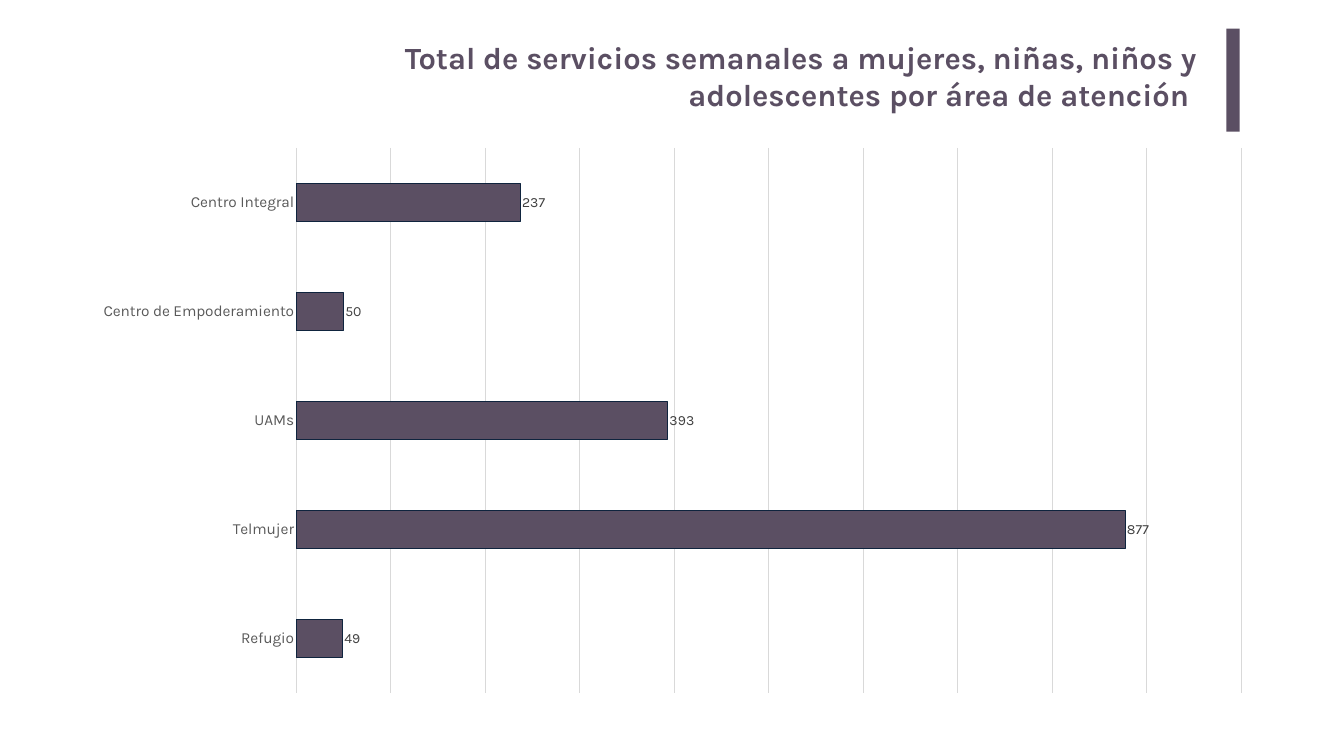
from pptx import Presentation
from pptx.chart.data import CategoryChartData
from pptx.dml.color import RGBColor
from pptx.enum.chart import XL_CHART_TYPE, XL_LABEL_POSITION, XL_TICK_MARK
from pptx.enum.shapes import MSO_SHAPE
from pptx.enum.text import MSO_ANCHOR, PP_ALIGN
from pptx.util import Pt

SERVICES = {
    "Centro Integral": 237,
    "Centro de Empoderamiento": 50,
    "UAMs": 393,
    "Telmujer": 877,
    "Refugio": 49,
}


def rgb(color):
    return RGBColor.from_string(color)


class SlideBuilder:
    FONT = "Karla"
    ACCENT = "5B4F63"
    BAR_LINE = "0F243E"
    GRID = "D9D9D9"
    AXIS_TEXT = "595959"
    LABEL_TEXT = "404040"

    def __init__(self, slide):
        self.slide = slide

    def set_font(self, font, size, color, bold=False):
        font.name = self.FONT
        font.size = Pt(size)
        font.bold = bold
        font.color.rgb = rgb(color)

    def set_line(self, line, color):
        line.color.rgb = rgb(color)
        line.width = Pt(0.75)

    def title(self, text, *box):
        tf = self.slide.shapes.add_textbox(*map(Pt, box)).text_frame
        tf.word_wrap = True
        tf.vertical_anchor = MSO_ANCHOR.TOP
        tf.margin_left = tf.margin_right = Pt(14.4)
        tf.margin_top = tf.margin_bottom = Pt(7.2)
        p = tf.paragraphs[0]
        p.text = text
        p.alignment = PP_ALIGN.RIGHT
        self.set_font(p.font, 44, self.ACCENT, bold=True)

    def accent_bar(self, *box):
        sp = self.slide.shapes.add_shape(MSO_SHAPE.RECTANGLE, *map(Pt, box))
        sp.shadow.inherit = False
        sp.fill.solid()
        sp.fill.fore_color.rgb = rgb(self.ACCENT)
        sp.line.fill.background()

    def bar_chart(self, values, *box):
        data = CategoryChartData()
        data.categories = list(values)
        data.add_series("Series 1", list(values.values()))
        chart = self.slide.shapes.add_chart(
            XL_CHART_TYPE.BAR_CLUSTERED, *map(Pt, box), data).chart
        chart.has_title = False
        chart.has_legend = False
        self.set_font(chart.font, 10, "000000")

        axis = chart.category_axis
        axis.reverse_order = True
        axis.major_tick_mark = axis.minor_tick_mark = XL_TICK_MARK.NONE
        self.set_font(axis.tick_labels.font, 22, self.AXIS_TEXT)
        self.set_line(axis.format.line, self.GRID)

        axis = chart.value_axis
        axis.visible = False
        axis.minimum_scale, axis.maximum_scale, axis.major_unit = 0, 1000, 100
        axis.has_major_gridlines = True
        self.set_line(axis.major_gridlines.format.line, self.GRID)

        plot = chart.plots[0]
        plot.gap_width = 182
        plot.vary_by_categories = False
        series = plot.series[0]
        series.format.fill.solid()
        series.format.fill.fore_color.rgb = rgb(self.ACCENT)
        self.set_line(series.format.line, self.BAR_LINE)
        labels = series.data_labels
        labels.show_value = True
        labels.position = XL_LABEL_POSITION.OUTSIDE_END
        self.set_font(labels.font, 20, self.LABEL_TEXT)


def main():
    prs = Presentation()
    prs.slide_width, prs.slide_height = Pt(1920), Pt(1080)
    s = SlideBuilder(prs.slides.add_slide(prs.slide_layouts[6]))
    s.title("Total de servicios semanales a mujeres, niñas, niños y "
            "adolescentes por área de atención ", 472, 48, 1253, 147)
    s.accent_bar(1752, 41, 19, 147)
    s.bar_chart(SERVICES, 114, 195, 1693, 811)
    prs.save("out.pptx")


if __name__ == "__main__":
    main()
